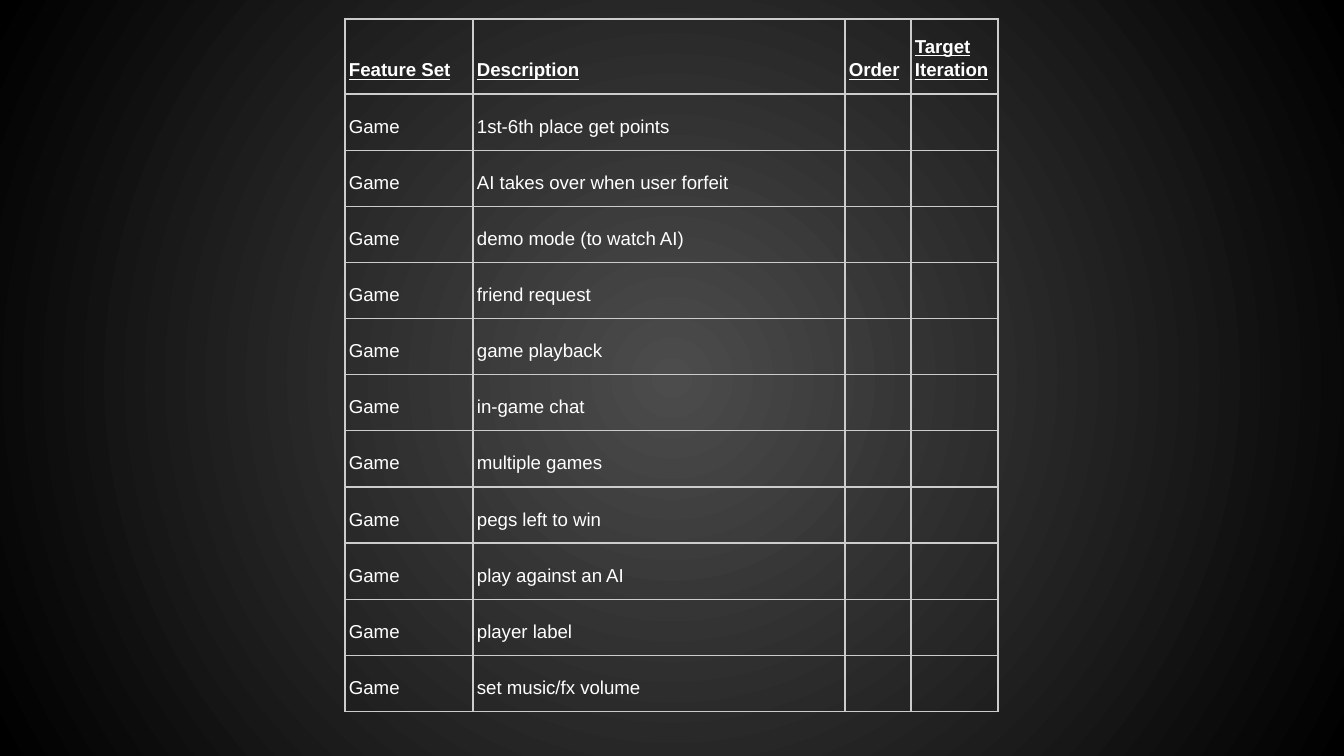
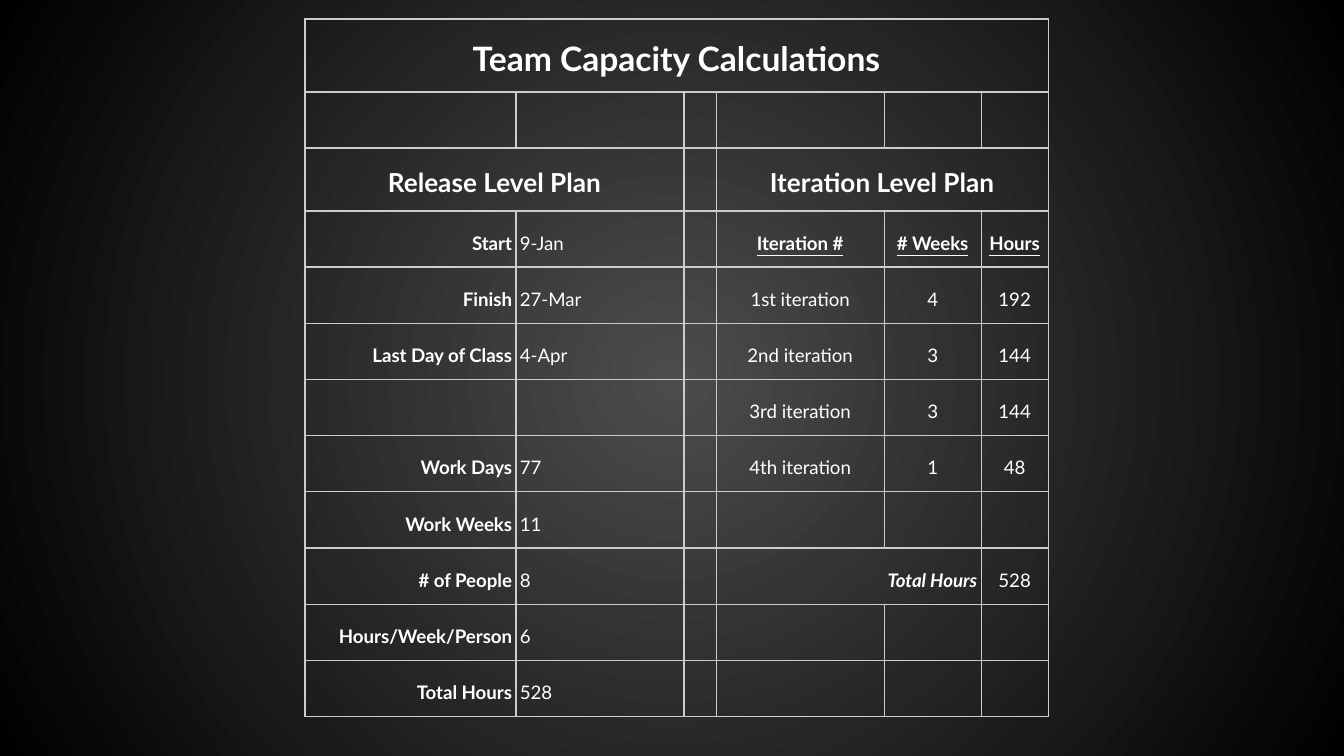
from lxml import etree
from pptx import Presentation
from pptx.dml.color import RGBColor
from pptx.enum.text import MSO_ANCHOR, PP_ALIGN
from pptx.oxml.ns import qn
from pptx.util import Emu, Pt

LEFT, CENTER, RIGHT = PP_ALIGN.LEFT, PP_ALIGN.CENTER, PP_ALIGN.RIGHT
BOTTOM = MSO_ANCHOR.BOTTOM
COLORS = {"glow": "4C4C4C", "edge": "000000", "rule": "CCCCCC", "text": "FFFFFF"}
BLANK_LAYOUT = 6
BORDER_PT = 0.75


def px(n):
    return Emu(round(n * 914400 / 134.4))


def rgb(name):
    return RGBColor.from_string(COLORS[name])


def set_background(master):
    """Radial glow shared by every slide."""
    fill = master.background.fill
    fill.gradient()
    for stop, name in zip(fill.gradient_stops, ("glow", "edge")):
        stop.color.rgb = rgb(name)
    first, last = fill.gradient_stops
    first.position, last.position = 0, 1
    grad = next(master.element.iter(qn("a:gradFill")))
    for lin in grad.findall(qn("a:lin")):
        grad.remove(lin)
    circle = etree.SubElement(grad, qn("a:path"), path="circle")
    etree.SubElement(circle, qn("a:fillToRect"),
                     {side: "50000" for side in "ltrb"})


def set_borders(cell):
    tc_pr = cell._tc.get_or_add_tcPr()
    for i, side in enumerate("LRTB"):
        ln = etree.Element(qn(f"a:ln{side}"), w=str(Pt(BORDER_PT)))
        solid = etree.SubElement(ln, qn("a:solidFill"))
        etree.SubElement(solid, qn("a:srgbClr"), val=COLORS["rule"])
        tc_pr.insert(i, ln)


def write(cell, text, font="Arial", size=10, bold=False, italic=False,
          underline=False, align=LEFT):
    cell.vertical_anchor = BOTTOM
    cell.margin_left = cell.margin_right = px(4)
    cell.margin_top = cell.margin_bottom = px(13)
    p = cell.text_frame.paragraphs[0]
    p.alignment = align
    p.line_spacing = 1.15
    r = p.add_run()
    r.text = text
    f = r.font
    f.name, f.size = font, Pt(size)
    f.bold, f.italic, f.underline = bold, italic, underline
    f.color.rgb = rgb("text")


def add_grid(slide, left, top, cols, rows, texts, style_for, spans=()):
    """Ruled table; style_for(row, col) gives the text format of a cell."""
    frame = slide.shapes.add_table(len(rows), len(cols), px(left), px(top),
                                   px(sum(cols)), px(sum(rows)))
    table = frame.table
    table.first_row = table.horz_banding = False
    for col, width in zip(table.columns, cols):
        col.width = px(width)
    for row, height in zip(table.rows, rows):
        row.height = px(height)
    for row, first, last in spans:
        table.cell(row, first).merge(table.cell(row, last))
    for i, line in enumerate(texts):
        for j in range(len(cols)):
            cell = table.cell(i, j)
            cell.fill.background()
            set_borders(cell)
            if j < len(line) and line[j]:
                write(cell, line[j], **style_for(i, j))


# Feature list
FEATURE_HEADER = ["Feature Set", "Description", "Order", "Target Iteration"]
FEATURES = [
    "1st-6th place get points", "AI takes over when user forfeit",
    "demo mode (to watch AI)", "friend request", "game playback",
    "in-game chat", "multiple games", "pegs left to win",
    "play against an AI", "player label", "set music/fx volume",
]


def feature_slide(slide, left, top):
    def style_for(row, col):
        return {"bold": row == 0, "underline": row == 0}

    count = len(FEATURES)
    add_grid(slide, left, top, [128, 372, 66, 87],
             [75] + [618 / count] * count,
             [FEATURE_HEADER] + [["Game", name] for name in FEATURES], style_for)


# Team capacity
CAPACITY = [
    ["Team Capacity Calculations"],
    [],
    ["Release Level Plan", "", "", "Iteration Level Plan"],
    ["Start", "9-Jan", "", "Iteration #", "# Weeks", "Hours"],
    ["Finish", "27-Mar", "", "1st iteration", "4", "192"],
    ["Last Day of Class", "4-Apr", "", "2nd iteration", "3", "144"],
    ["", "", "", "3rd iteration", "3", "144"],
    ["Work Days", "77", "", "4th iteration", "1", "48"],
    ["Work Weeks", "11"],
    ["# of People", "8", "", "Total Hours", "", "528"],
    ["Hours/Week/Person", "6"],
    ["Total Hours", "528"],
]
TITLE_ROW, PLAN_ROW, HEAD_ROW, TOTAL_ROW = 0, 2, 3, 9


def capacity_slide(slide, left, top):
    def style_for(row, col):
        style = {"font": "Lato", "align": CENTER}
        if row == TITLE_ROW:
            style.update(size=18, bold=True)
        elif row == PLAN_ROW:
            style.update(size=14, bold=True)
        elif col == 0:
            style.update(bold=True, align=RIGHT)
        elif col == 1:
            style.update(align=LEFT)
        elif row == HEAD_ROW:
            style.update(bold=True, underline=True)
        elif (row, col) == (TOTAL_ROW, 3):
            style.update(bold=True, italic=True, align=RIGHT)
        return style

    spans = [(TITLE_ROW, 0, 5), (PLAN_ROW, 0, 1), (PLAN_ROW, 3, 5),
             (TOTAL_ROW, 3, 4)]
    add_grid(slide, left, top, [211, 168, 24, 168, 97, 67],
             [73, 56, 63] + [506 / 9] * 9, CAPACITY, style_for, spans)


def main():
    prs = Presentation()
    prs.slide_width, prs.slide_height = px(1344), px(756)
    set_background(prs.slide_master)
    layout = prs.slide_layouts[BLANK_LAYOUT]
    feature_slide(prs.slides.add_slide(layout), 345, 19)
    capacity_slide(prs.slides.add_slide(layout), 305, 19)
    prs.save("out.pptx")


if __name__ == "__main__":
    main()
